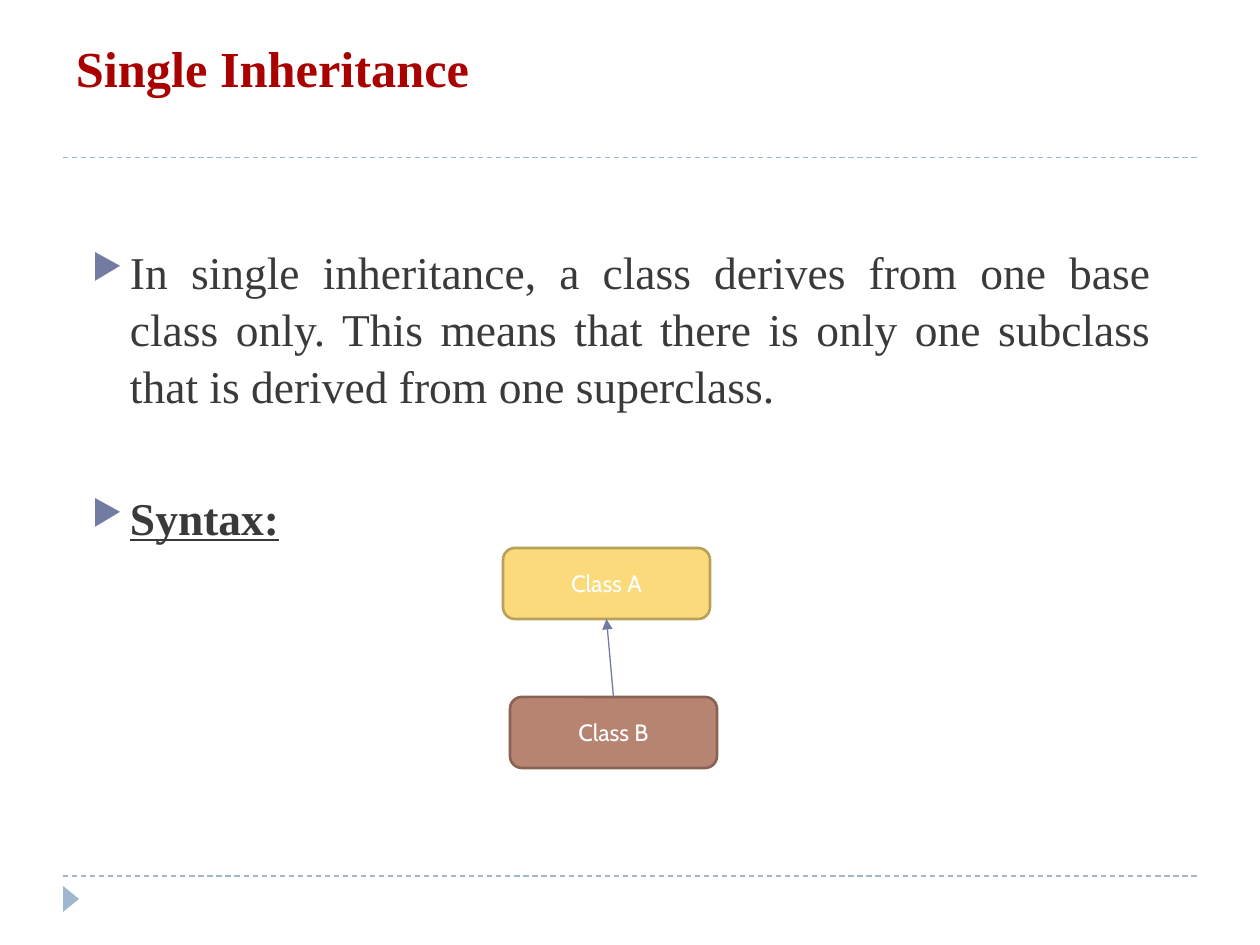
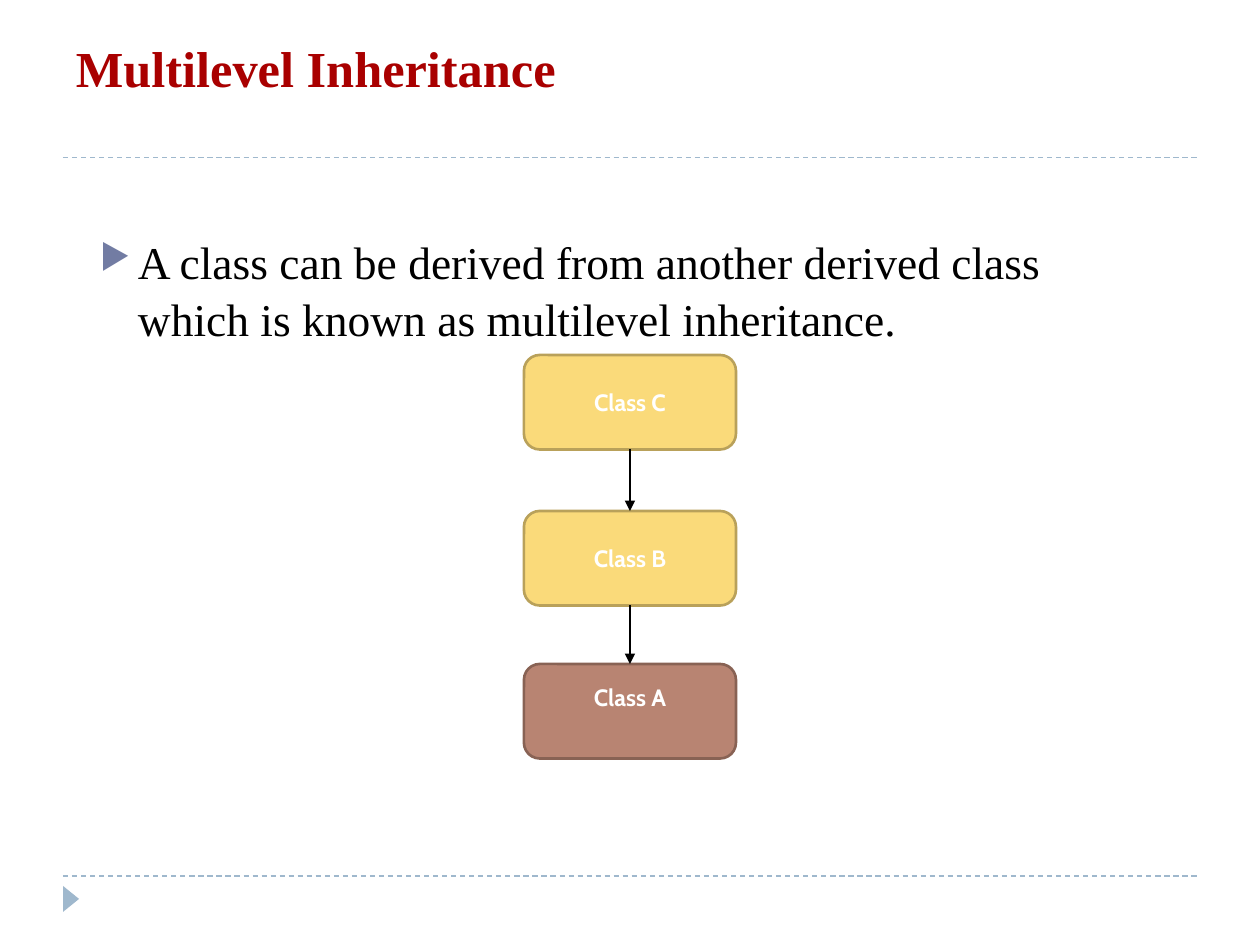
from pptx import Presentation
from pptx.dml.color import RGBColor
from pptx.enum.dml import MSO_LINE
from pptx.enum.shapes import MSO_CONNECTOR, MSO_SHAPE
from pptx.enum.text import MSO_ANCHOR as ANCHOR, PP_ALIGN as ALIGN
from pptx.oxml.ns import qn
from pptx.util import Pt
from lxml.etree import SubElement

SCALE = 914400 // 126  # EMU per pixel
SERIF, SANS = "Times New Roman", "Cabin"
TITLE, BODY, BLACK, WHITE = "A90000", "3A3A3A", "000000", "FFFFFF"
RULE, ACCENT = "9FB8CD", "727CA3"
YELLOW = ("FADA7A", "B9A15A")  # fill, outline
BROWN = ("B88472", "886254")
TOP, BOTTOM = 0, 2  # connection sites of a box


def px(*lengths):
    """Turn pixels into EMU."""
    return [round(length * SCALE) for length in lengths]


def color(value):
    """Turn a hex string into a colour."""
    return RGBColor.from_string(value)


def write(para, text, font=SERIF, size=26, ink=BLACK, bold=False,
          underline=False, align=ALIGN.LEFT):
    """Write one formatted span into a paragraph."""
    para.alignment = align
    span = para.add_run()
    span.text = text
    span.font.name, span.font.size = font, Pt(size)
    span.font.bold, span.font.underline = bold, underline
    span.font.color.rgb = color(ink)


def set_frame(shape, anchor, bottom=6):
    """Set wrapping, anchor and insets; return the text frame."""
    frame = shape.text_frame
    frame.word_wrap, frame.vertical_anchor = True, anchor
    frame.margin_left, frame.margin_top = px(13, 6)
    frame.margin_right, frame.margin_bottom = px(13, bottom)
    return frame


def add_line(page, ends, ink):
    """Draw a thin straight line without a shadow."""
    line = page.shapes.add_connector(MSO_CONNECTOR.STRAIGHT, *px(*ends))
    line.line.color.rgb, line.line.width = color(ink), Pt(0.75)
    SubElement(line._element.spPr, qn("a:effectLst"))
    return line


def add_arrow(page, start, start_site, end, end_site, ink):
    """Connect two boxes with an arrow that points to the second."""
    arrow = add_line(page, (0, 0, 0, 0), ink)
    arrow.begin_connect(start, start_site)
    arrow.end_connect(end, end_site)
    SubElement(arrow.line._get_or_add_ln(), qn("a:tailEnd"), type="triangle")


def add_bullet(para):
    """Give a paragraph a hanging triangle bullet."""
    props = para._p.get_or_add_pPr()
    hang = px(38)[0]
    props.set("marL", str(hang))
    props.set("indent", str(-hang))
    SubElement(SubElement(props, qn("a:buClr")), qn("a:srgbClr"), val=ACCENT)
    SubElement(props, qn("a:buSzPct"), val="76000")
    SubElement(props, qn("a:buChar"), char="\u25b6")


def add_body(page, box, items, before=6, **style):
    """Place a bulleted list; items are (text, extra format)."""
    frame = set_frame(page.shapes.add_textbox(*px(*box)), ANCHOR.TOP)
    for index, (text, extra) in enumerate(items):
        para = frame.add_paragraph() if index else frame.paragraphs[0]
        para.line_spacing = 1.04
        para.space_before = Pt(before if index else 6)
        add_bullet(para)
        write(para, text, **style, **extra)


def add_class(page, box, name, colors, bold=False, bottom=6):
    """Draw a rounded class box with its name."""
    shape = page.shapes.add_shape(MSO_SHAPE.ROUNDED_RECTANGLE, *px(*box))
    shape.shadow.inherit = False
    shape.fill.solid()
    shape.fill.fore_color.rgb, shape.line.color.rgb = map(color, colors)
    shape.line.width = Pt(1.5)
    frame = set_frame(shape, ANCHOR.MIDDLE, bottom)
    write(frame.paragraphs[0], name, font=SANS, size=13.5, ink=WHITE,
          bold=bold, align=ALIGN.CENTER)
    return shape


def add_page(deck, title):
    """Add a page with the shared rules, corner marker and title."""
    page = deck.slides.add_slide(deck.slide_layouts[6])
    for y in (876, 157.5):
        add_line(page, (63, y, 1197, y), RULE).line.dash_style = MSO_LINE.DASH
    marker = page.shapes.add_shape(MSO_SHAPE.ISOSCELES_TRIANGLE,
                                   *px(58, 891, 26, 16))
    marker.rotation, marker.shadow.inherit = 90, False
    marker.fill.solid()
    marker.fill.fore_color.rgb = color(RULE)
    marker.line.fill.background()
    heading = page.shapes.add_textbox(*px(63, 21, 1134, 136))
    frame = set_frame(heading, ANCHOR.BOTTOM, bottom=64)
    write(frame.paragraphs[0], title, size=28.8, ink=TITLE, bold=True)
    return page


def add_single(deck):
    """Build the page on single inheritance."""
    page = add_page(deck, "Single Inheritance")
    add_body(page, (79, 236, 1086, 667), [
        ("In single inheritance, a class derives from one base class only. "
         "This means that there is only one subclass that is derived from "
         "one superclass.", {}),
        ("Syntax:", {"bold": True, "underline": True}),
    ], before=43, ink=BODY, align=ALIGN.JUSTIFY)
    base = add_class(page, (503, 548, 207, 71), "Class A", YELLOW)
    derived = add_class(page, (510, 697, 207, 71), "Class B", BROWN)
    add_arrow(page, derived, TOP, base, BOTTOM, ACCENT)


def add_multilevel(deck):
    """Build the page on multilevel inheritance."""
    page = add_page(deck, "Multilevel Inheritance")
    add_body(page, (87, 226, 1086, 616), [
        ("A class can be derived from another derived class which is known "
         "as multilevel inheritance.", {})])
    levels = [("Class C", 355, YELLOW, 6), ("Class B", 511, YELLOW, 6),
              ("Class A", 664, BROWN, 34)]
    boxes = [add_class(page, (524, top, 212, 94.5), name, colors, True, bottom)
             for name, top, colors, bottom in levels]
    for upper, lower in zip(boxes, boxes[1:]):
        add_arrow(page, upper, BOTTOM, lower, TOP, BLACK)


deck = Presentation()
deck.slide_width, deck.slide_height = px(1260, 945)
add_single(deck)
add_multilevel(deck)
deck.save("out.pptx")
